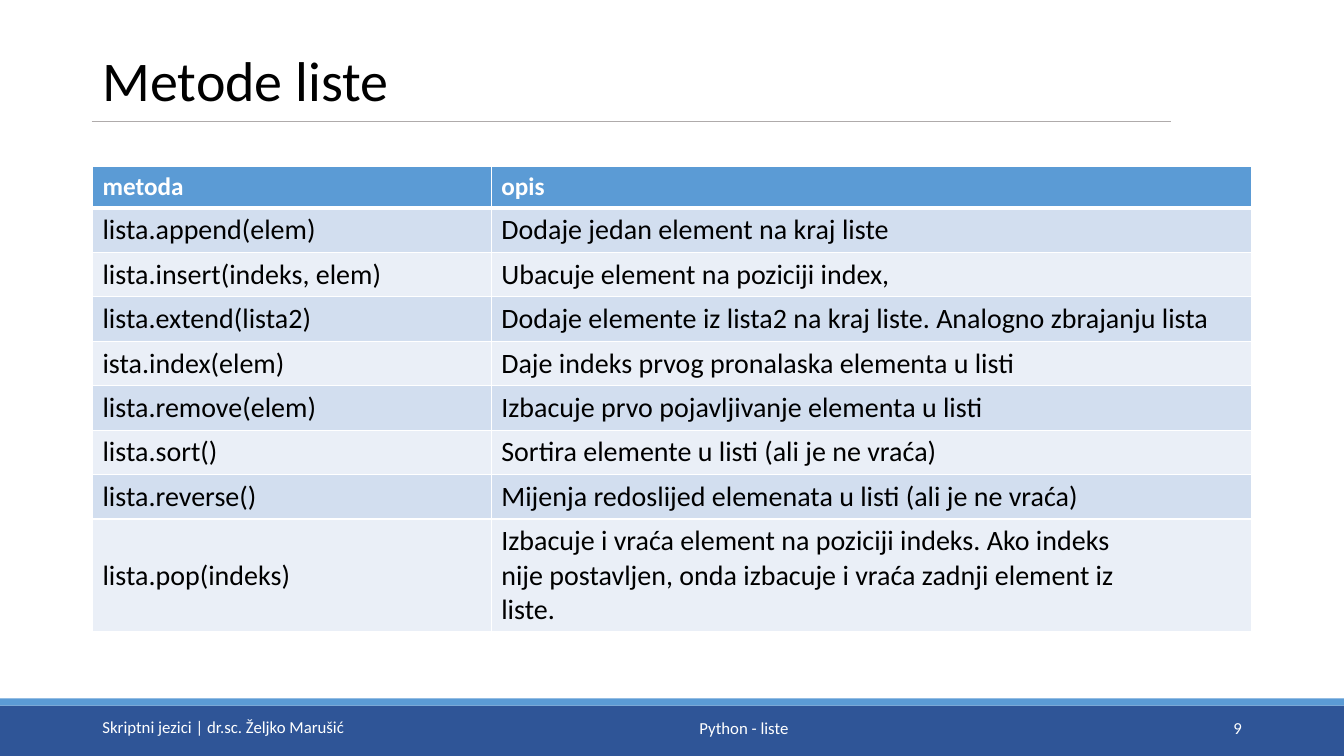
import dataclasses

import lxml.etree
import pptx
import pptx.dml.color
import pptx.enum.shapes
import pptx.enum.text
import pptx.oxml.ns
import pptx.util

Cm = pptx.util.Cm
Pt = pptx.util.Pt
Align = pptx.enum.text.PP_ALIGN
Anchor = pptx.enum.text.MSO_ANCHOR
qn = pptx.oxml.ns.qn

WHITE, BLACK = "FFFFFF", "000000"
NAVY, BLUE, GREY = "2F5597", "5B9BD5", "AFABAB"
BANDS = ("D2DEEF", "EAEFF7")


@dataclasses.dataclass
class Box:
    left: float
    top: float
    width: float
    height: float

    def size(self) -> tuple:
        return Cm(self.left), Cm(self.top), Cm(self.width), Cm(self.height)


@dataclasses.dataclass
class Bar:
    box: Box
    fill: str


@dataclasses.dataclass
class Note:
    box: Box
    text: str
    align: Align


@dataclasses.dataclass
class Method:
    call: str
    about: str


BARS = [
    Bar(Box(0, 17.78, 33.87, 1.27), NAVY),
    Bar(Box(0, 17.6, 33.87, 0.18), BLUE),
]
NOTES = [
    Note(Box(2.33, 17.81, 12.85, 1.02), "Skriptni jezici | dr.sc. Željko Marušić", Align.LEFT),
    Note(Box(13.77, 17.83, 9.96, 1.02), "Python - liste", Align.CENTER),
    Note(Box(28.4, 17.83, 3.15, 1.02), "9", Align.RIGHT),
]
METHODS = [
    Method("lista.append(elem)", "Dodaje jedan element na kraj liste"),
    Method("lista.insert(indeks, elem)", "Ubacuje element na poziciji index,"),
    Method("lista.extend(lista2)", "Dodaje elemente iz lista2 na kraj liste. Analogno zbrajanju lista"),
    Method("ista.index(elem)", "Daje indeks prvog pronalaska elementa u listi"),
    Method("lista.remove(elem)", "Izbacuje prvo pojavljivanje elementa u listi"),
    Method("lista.sort()", "Sortira elemente u listi (ali je ne vraća)"),
    Method("lista.reverse()", "Mijenja redoslijed elemenata u listi (ali je ne vraća)"),
    Method("lista.pop(indeks)", "Izbacuje i vraća element na poziciji indeks. Ako indeks\n"
           "nije postavljen, onda izbacuje i vraća zadnji element iz\nliste."),
]


def color(code: str) -> pptx.dml.color.RGBColor:
    return pptx.dml.color.RGBColor.from_string(code)


def write(frame, text: str, *, size: float, ink: str = BLACK, bold: bool = False,
          align: Align = Align.LEFT, space: float = 1.0) -> None:
    """Put one formatted paragraph in a text frame."""
    para = frame.paragraphs[0]
    para.text = text
    para.alignment = align
    para.line_spacing = space
    for run in para.runs:
        run.font.name = "Calibri"
        run.font.size = Pt(size)
        run.font.bold = bold
        run.font.color.rgb = color(ink)


def draw_bar(slide, bar: Bar) -> None:
    shape = slide.shapes.add_shape(pptx.enum.shapes.MSO_SHAPE.RECTANGLE, *bar.box.size())
    shape.shadow.inherit = False
    shape.fill.solid()
    shape.fill.fore_color.rgb = color(bar.fill)
    shape.line.fill.background()


def draw_note(slide, note: Note) -> None:
    frame = slide.shapes.add_textbox(*note.box.size()).text_frame
    frame.word_wrap = True
    frame.vertical_anchor = Anchor.MIDDLE
    write(frame, note.text, size=12, ink=WHITE, align=note.align)


def draw_title(slide, text: str) -> None:
    title = slide.shapes.title
    title.left, title.top, title.width, title.height = Box(2.33, 0.74, 25.55, 2.74).size()
    frame = title.text_frame
    frame.auto_size = pptx.enum.text.MSO_AUTO_SIZE.NONE
    frame.vertical_anchor = Anchor.MIDDLE
    write(frame, text, size=40, space=0.9)


def draw_rule(slide) -> None:
    rule = slide.shapes.add_connector(
        pptx.enum.shapes.MSO_CONNECTOR.STRAIGHT, Cm(2.31), Cm(3.05), Cm(29.51), Cm(3.05))
    rule.line.color.rgb = color(GREY)
    rule.line.width = Pt(0.5)
    lxml.etree.SubElement(rule._element.spPr, qn("a:effectLst"))


def edge(cell, **widths: float) -> None:
    """Give a cell white borders, set by side in the order L, R, T, B."""
    props = cell._tc.get_or_add_tcPr()
    for place, (side, width) in enumerate(widths.items()):
        line = lxml.etree.Element(qn(f"a:ln{side}"), w=str(Pt(width)))
        fill = lxml.etree.SubElement(line, qn("a:solidFill"))
        lxml.etree.SubElement(fill, qn("a:srgbClr"), val=WHITE)
        props.insert(place, line)


def draw_table(slide, methods: list[Method]) -> None:
    rows = [Method("metoda", "opis"), *methods]
    box = Box(2.33, 4.19, 29.21, 11.72)
    table = slide.shapes.add_table(len(rows), 2, *box.size()).table
    for col, width in zip(table.columns, (10.05, 19.16)):
        col.width = Cm(width)
    for i, row in enumerate(rows):
        head = i == 0
        lines = row.about.count("\n") + 1
        table.rows[i].height = Cm(1.05 if head else 1.12 + 0.86 * (lines - 1))
        for cell, text in zip(table.rows[i].cells, (row.call, row.about)):
            cell.fill.solid()
            cell.fill.fore_color.rgb = color(BLUE if head else BANDS[(i - 1) % 2])
            cell.vertical_anchor = Anchor.TOP if head else Anchor.MIDDLE
            edge(cell, L=1, R=1, T=3 if i == 1 else 1, B=3 if head else 1)
            write(cell.text_frame, text, size=18 if head else 20,
                  ink=WHITE if head else BLACK, bold=head)


def main() -> None:
    deck = pptx.Presentation()
    deck.slide_width, deck.slide_height = Cm(33.87), Cm(19.05)
    slide = deck.slides.add_slide(deck.slide_layouts[5])

    # Footer band
    for bar in BARS:
        draw_bar(slide, bar)

    # Heading
    draw_rule(slide)
    draw_title(slide, "Metode liste")

    # List methods
    draw_table(slide, METHODS)

    # Footer text
    for note in NOTES:
        draw_note(slide, note)

    deck.save("out.pptx")


if __name__ == "__main__":
    main()
